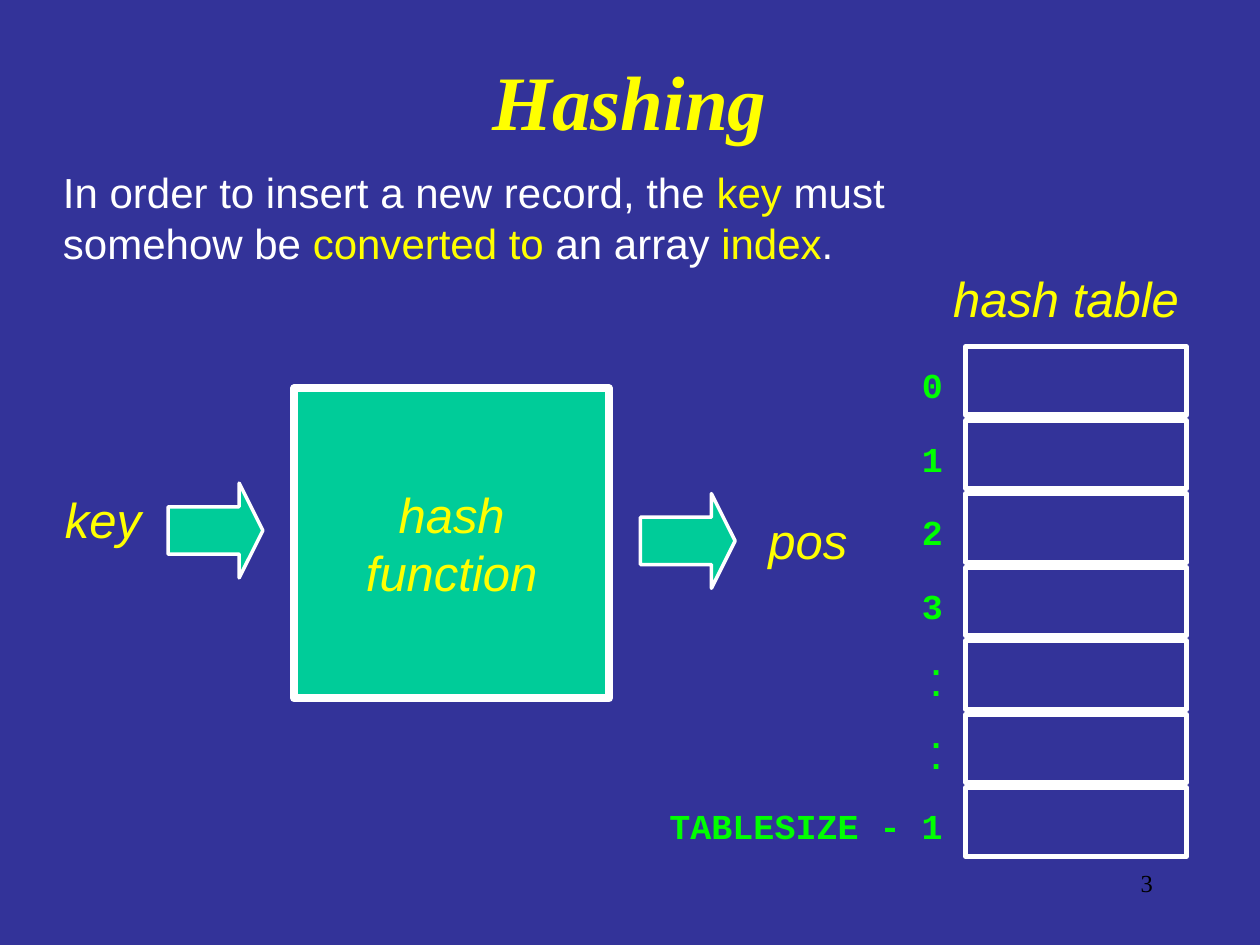
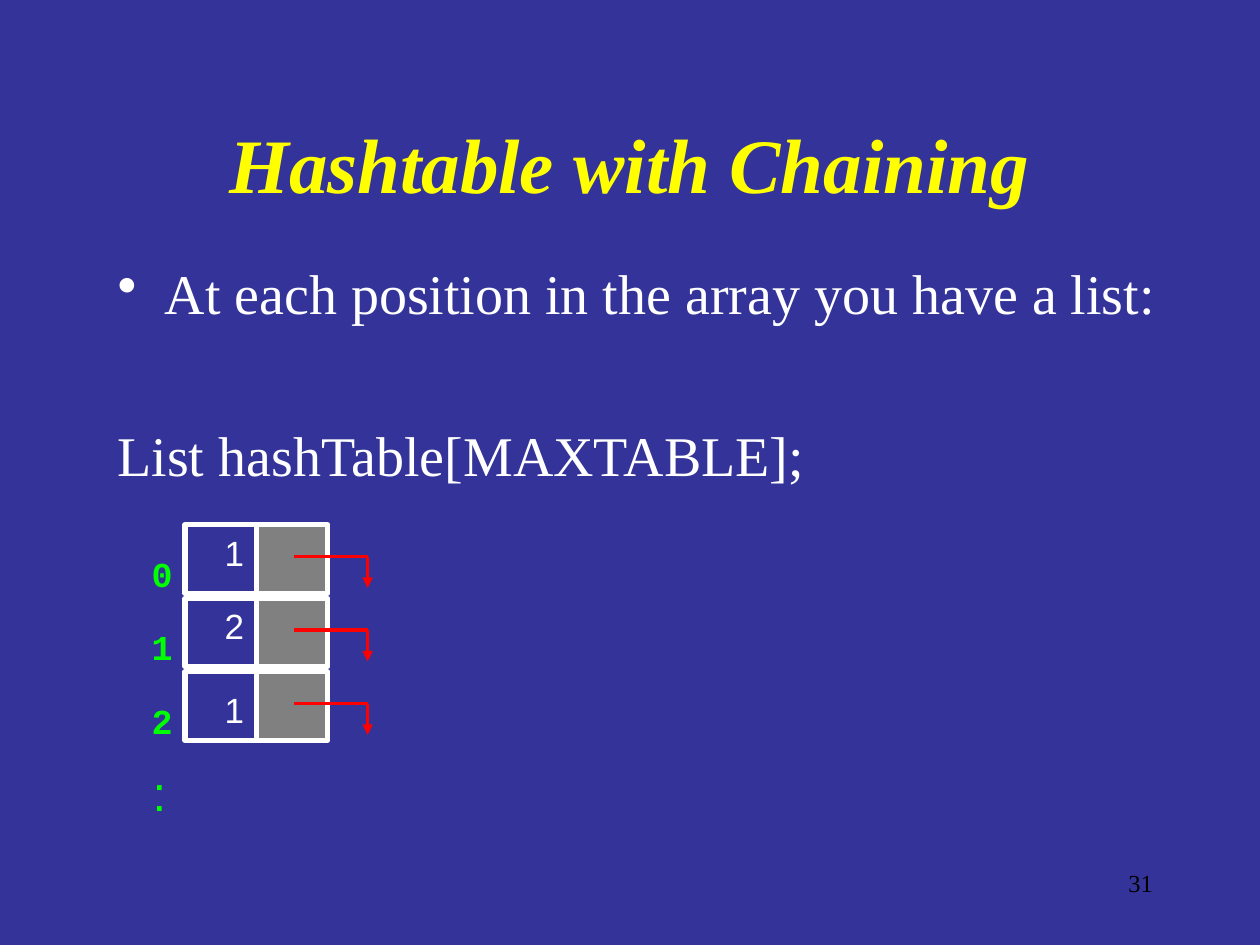
"""Build two slides on hashing and chained hash tables."""
from dataclasses import dataclass

from lxml import etree
from pptx import Presentation
from pptx.dml.color import RGBColor
from pptx.enum.shapes import MSO_CONNECTOR, MSO_SHAPE
from pptx.enum.text import MSO_ANCHOR, PP_ALIGN
from pptx.oxml.ns import qn
from pptx.util import Cm, Pt

LEFT, MID, RIGHT = PP_ALIGN.LEFT, PP_ALIGN.CENTER, PP_ALIGN.RIGHT
TOP, CENTRE = MSO_ANCHOR.TOP, MSO_ANCHOR.MIDDLE
RECT, ARROW = MSO_SHAPE.RECTANGLE, MSO_SHAPE.RIGHT_ARROW
STRAIGHT = MSO_CONNECTOR.STRAIGHT


@dataclass(frozen=True)
class Style:
    """Look of one run of text."""
    font: str
    size: int
    color: str
    bold: bool = False
    italic: bool = False


@dataclass(frozen=True)
class Theme:
    """Colours and type shared by the slides."""
    back: str = "333399"
    edge: str = "FFFFFF"
    block: str = "00CC99"
    link: str = "808080"
    wire: str = "FF0000"
    title: Style = Style("Times New Roman", 44, "FFFF00", True, True)
    body: Style = Style("Times New Roman", 32, "FFFFFF")
    page: Style = Style("Times New Roman", 14, "000000")
    plain: Style = Style("Arial", 24, "FFFFFF")
    strong: Style = Style("Arial", 24, "FFFF00")
    name: Style = Style("Arial", 28, "FFFF00", italic=True)
    index: Style = Style("Courier New", 20, "00FF00", True)
    dots: Style = Style("Arial", 28, "00FF00")
    value: Style = Style("Arial", 20, "FFFFFF")


THEME = Theme()
PITCH = 1.482
CELL = 1.38


def rgb(code):
    """Turn a hex code into a colour."""
    return RGBColor.from_string(code)


def add_run(para, text, style):
    """Add one styled run to a paragraph."""
    run = para.add_run()
    run.text = text
    font = run.font
    font.name, font.size = style.font, Pt(style.size)
    font.bold, font.italic = style.bold, style.italic
    font.color.rgb = rgb(style.color)


def set_frame(shape, align, anchor=TOP):
    """Prepare a text frame and return its first paragraph."""
    frame = shape.text_frame
    frame.word_wrap = True
    frame.vertical_anchor = anchor
    frame.margin_left = frame.margin_right = Cm(0.25)
    frame.margin_top = frame.margin_bottom = Cm(0.13)
    para = frame.paragraphs[0]
    para.alignment = align
    return para


def add_text(slide, box, runs, align=LEFT, anchor=TOP):
    """Add a text box holding one paragraph of runs."""
    shape = slide.shapes.add_textbox(*map(Cm, box))
    para = set_frame(shape, align, anchor)
    for text, style in runs:
        add_run(para, text, style)
    return shape


def add_block(slide, kind, box, width, fill=None):
    """Add an outlined shape, filled or hollow."""
    shape = slide.shapes.add_shape(kind, *map(Cm, box))
    shape.shadow.inherit = False
    if fill:
        shape.fill.solid()
        shape.fill.fore_color.rgb = rgb(fill)
    else:
        shape.fill.background()
    shape.line.color.rgb = rgb(THEME.edge)
    shape.line.width = Pt(width)
    return shape


def add_arrow(slide, left, top):
    """Add a block arrow between two steps."""
    shape = add_block(slide, ARROW, (left, top, 1.91, 1.91), 2, THEME.block)
    shape.adjustments[0], shape.adjustments[1] = 0.5, 0.25


def add_cells(slide, left, top, width, count, fill=None):
    """Stack the cells of a hash table."""
    for row in range(count):
        box = (left, top + row * PITCH, width, CELL)
        add_block(slide, RECT, box, 3, fill)


def add_label(slide, right, top, text, style=THEME.index, width=2.12):
    """Add a label that ends at the given right edge."""
    height = 1.46 if style.size > 20 else 1.11
    box = (right - width, top, width, height)
    add_text(slide, box, [(text, style)], RIGHT)


def add_wire(slide, start, end, head=False):
    """Draw a red line, with an arrowhead if asked."""
    line = slide.shapes.add_connector(STRAIGHT, *map(Cm, start + end))
    line.line.color.rgb = rgb(THEME.wire)
    line.line.width = Pt(2)
    if head:
        tail = etree.SubElement(line.line._get_or_add_ln(), qn("a:tailEnd"))
        tail.set("type", "triangle")
    etree.SubElement(line._element.spPr, qn("a:effectLst"))


def add_bullet(para, indent):
    """Give a paragraph a hanging bullet."""
    props = para._p.get_or_add_pPr()
    props.set("marL", str(Cm(indent)))
    props.set("indent", str(-Cm(indent)))
    etree.SubElement(props, qn("a:buChar")).set("char", "•")


def add_page(deck, title, number, top):
    """Start a slide with its title and page number."""
    slide = deck.slides.add_slide(deck.slide_layouts[6])
    add_text(slide, (18.2, 17.36, 5.29, 1.27), [(number, THEME.page)], RIGHT)
    add_text(slide, (1.9, top, 21.59, 3.18), [(title, THEME.title)], MID, CENTRE)
    return slide


def add_hashing(deck):
    """Show how a key becomes a table position."""
    slide = add_page(deck, "Hashing", "3", 0.42)
    plain, strong = THEME.plain, THEME.strong
    add_text(slide, (1.02, 3.23, 19.51, 2.29), [
        ("In order to insert a new record, the ", plain), ("key ", strong),
        ("must somehow be ", plain), ("converted to ", strong),
        ("an array ", plain), ("index", strong), (".", plain)])

    add_text(slide, (1.06, 9.74, 2.12, 1.46), [("key", THEME.name)])
    add_arrow(slide, 3.39, 9.74)
    block = add_block(slide, RECT, (5.93, 7.83, 6.35, 6.25), 4.5, THEME.block)
    para = set_frame(block, MID)
    frame = block.text_frame
    frame.margin_top = Cm(1.93)
    frame.margin_left = frame.margin_right = Cm(0.4)
    add_run(para, "hash function", THEME.name)
    add_arrow(slide, 12.91, 9.95)
    add_text(slide, (15.24, 10.16, 2.12, 1.46), [("pos", THEME.name)])

    top, right = 6.99, 19.26
    add_text(slide, (18.63, 5.29, 5.72, 1.46), [("hash table", THEME.name)], MID)
    add_cells(slide, 19.47, top, 4.45, 7)
    for row in range(4):
        add_label(slide, right, top + 0.21 + row * PITCH, str(row))
    for row in (4, 5):
        add_label(slide, right, top + row * PITCH, ":", THEME.dots)
    add_label(slide, right, top + 0.21 + 6 * PITCH, "TABLESIZE - 1", width=6.35)


def add_chaining(deck):
    """Show an array whose entries point to lists."""
    slide = add_page(deck, "Hashtable with Chaining", "31", 1.69)
    body = add_text(slide, (2.12, 5.08, 21.59, 6.14), [
        ("At each position in the array you have a list:", THEME.body)])
    add_bullet(body.text_frame.paragraphs[0], 0.95)
    code = body.text_frame.add_paragraph()
    code.space_before = Pt(54)
    add_run(code, "List hashTable[MAXTABLE];", THEME.body)

    left, top, width = 3.73, 10.58, 1.44
    add_cells(slide, left, top, width, 3)
    add_cells(slide, left + width, top, width, 3, THEME.link)
    for row, (value, drop) in enumerate([("1", 0), ("2", 0), ("1", 0.21)]):
        base = top + row * PITCH
        add_label(slide, left, base + 0.42, str(row), width=2.26)
        add_label(slide, left + width, base + drop, value, THEME.value, width)
        bend = (7.41, base + 0.64)
        add_wire(slide, bend, (7.41, base + 1.27), True)
        add_wire(slide, bend, (5.93, base + 0.64))
    add_label(slide, 3.6, top + 0.21 + 3 * PITCH, ":", THEME.dots)


def main():
    """Build and save the deck."""
    deck = Presentation()
    deck.slide_width, deck.slide_height = Cm(25.4), Cm(19.05)
    fill = deck.slide_master.background.fill
    fill.solid()
    fill.fore_color.rgb = rgb(THEME.back)
    add_hashing(deck)
    add_chaining(deck)
    deck.save("out.pptx")


if __name__ == "__main__":
    main()
